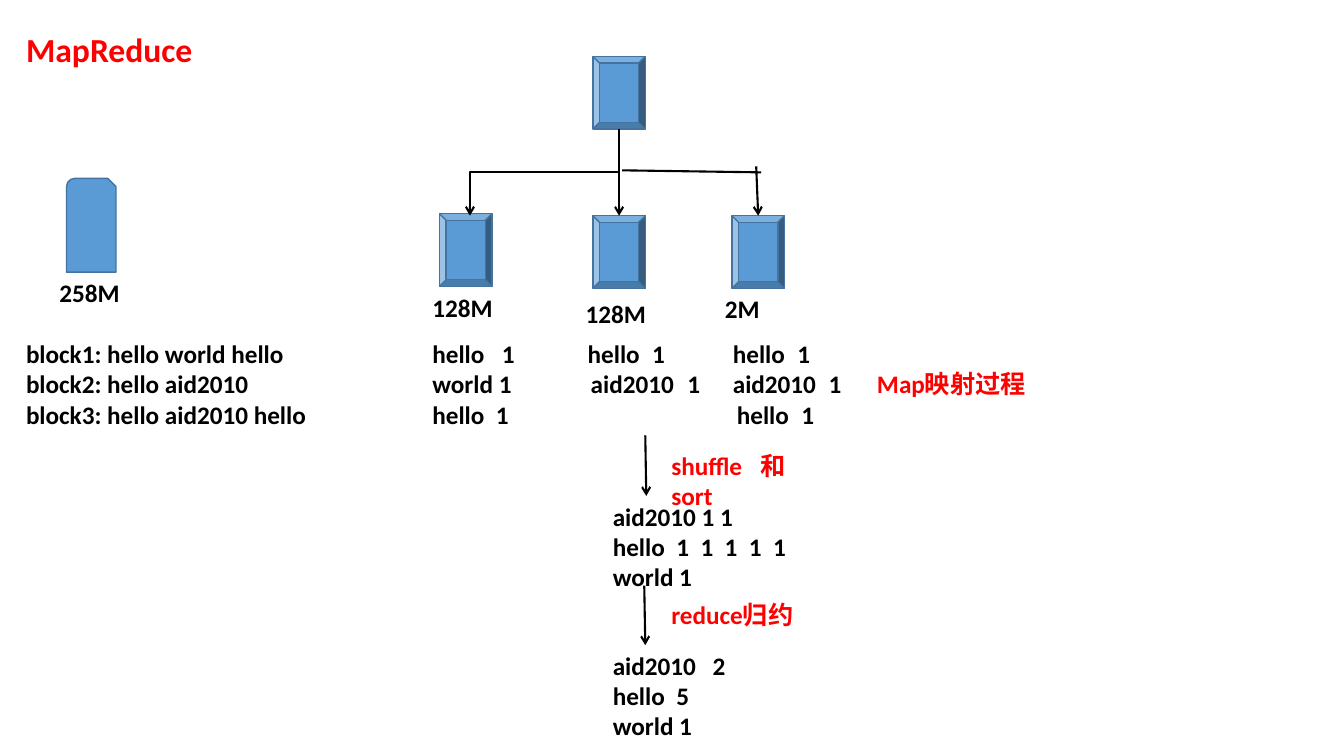
"""Build the MapReduce word count slide."""
from lxml.etree import SubElement
from pptx import Presentation
from pptx.dml.color import RGBColor
from pptx.enum.shapes import MSO_CONNECTOR, MSO_SHAPE
from pptx.enum.text import MSO_AUTO_SIZE
from pptx.oxml.ns import qn
from pptx.util import Inches, Pt

COLORS = {"red": "FF0000", "black": "000000", "blue": "5B9BD5", "edge": "43739E"}
FONT = {"name": "Calibri", "bold": True}

TEXTS = [
    (0.16, 0.24, 1.95, 24, "red", [("MapReduce", [])]),
    (0.49, 2.7, 0.85, 18, "black", [("258M", [])]),
    (0.16, 3.31, 3, 18, "black", [
        ("block1: hello world hello", []),
        ("block2: hello aid2010", []),
        ("block3: hello aid2010 hello", [])]),
    (4.19, 2.85, 0.85, 18, "black", [("128M", [])]),
    (5.71, 2.91, 0.85, 18, "black", [("128M", [])]),
    (7.09, 2.86, 0.85, 18, "black", [("2M", [])]),
    (4.19, 3.31, 4.41, 18, "black", [
        ("hello\t1\thello\t1\thello\t1", [0.69, 1.54, 2.18, 2.98, 3.62]),
        ("world 1\taid2010\t1\taid2010\t1", [1.57, 2.53, 2.98, 3.93]),
        ("hello\t1\thello\t1", [0.63, 3.02, 3.66])]),
    (8.6, 3.61, 1.9, 18, "red", [("Map映射过程", [])]),
    (5.98, 4.92, 2.07, 18, "black", [
        ("aid2010 1 1", []),
        ("hello\t1\t1\t1\t1\t1", [0.63, 0.87, 1.11, 1.35, 1.59]),
        ("world 1", [])]),
    (6.56, 4.42, 1.9, 18, "red", [("shuffle\t和\vsort", [0.88])]),
    (6.56, 5.9, 1.9, 18, "red", [("reduce归约", [])]),
    (5.98, 6.4, 1.66, 18, "black", [
        ("aid2010\t2", [0.99]), ("hello\t5", [0.63]), ("world 1", [])]),
]
FILE = (0.66, 1.77, 0.49, 0.93)
NODES = [(4.36, 2.12), (5.88, 2.14), (7.26, 2.14), (5.88, 0.56)]
NODE = (0.52, 0.72)
BENDS = [(6.14, 1.28, 4.66, 2.14), (6.14, 1.32, 6.14, 2.14)]
LINES = [
    (6.17, 1.69, 7.55, 1.71, False),
    (7.5, 1.65, 7.52, 2.14, True),
    (6.4, 4.32, 6.41, 4.92, True),
    (6.39, 5.81, 6.4, 6.4, True),
]


def color(name):
    return RGBColor.from_string(COLORS[name])


def add_block(kind, *box):
    block = slide.shapes.add_shape(kind, *map(Inches, box))
    block.shadow.inherit = False
    block.fill.solid()
    block.fill.fore_color.rgb = color("blue")
    block.line.color.rgb = color("edge")
    block.line.width = Pt(1)


def add_line(kind, ends, arrow):
    line = slide.shapes.add_connector(kind, *map(Inches, ends))
    line.line.color.rgb = color("black")
    line.line.width = Pt(1.5)
    props = line._element.spPr
    if arrow:
        SubElement(props.find(qn("a:ln")), qn("a:tailEnd"), type="arrow")
    SubElement(props, qn("a:effectLst"))
    return line


def add_bend(x1, y1, x2, y2):
    mid_x, mid_y = (x1 + x2) / 2, (y1 + y2) / 2
    dx, dy = (y2 - y1) / 2, (x1 - x2) / 2
    ends = (mid_x - dx, mid_y - dy, mid_x + dx, mid_y + dy)
    bend = add_line(MSO_CONNECTOR.ELBOW, ends, True)
    bend._element.spPr.find(qn("a:xfrm")).set("rot", str(90 * 60000))


def add_text(left, top, width, size, tint, rows):
    height = 0.1 + len(rows) * size / 60
    box = slide.shapes.add_textbox(*map(Inches, (left, top, width, height)))
    frame = box.text_frame
    frame.word_wrap = True
    frame.auto_size = MSO_AUTO_SIZE.SHAPE_TO_FIT_TEXT
    for i, (words, stops) in enumerate(rows):
        para = frame.add_paragraph() if i else frame.paragraphs[0]
        para.text = words
        if stops:
            tabs = SubElement(para._p.get_or_add_pPr(), qn("a:tabLst"))
            for stop in stops:
                SubElement(tabs, qn("a:tab"), pos=str(Inches(stop)), algn="l")
        for run in para.runs:
            for key, value in {**FONT, "size": Pt(size)}.items():
                setattr(run.font, key, value)
            run.font.color.rgb = color(tint)


deck = Presentation()
deck.slide_width, deck.slide_height = Inches(13.33), Inches(7.5)
slide = deck.slides.add_slide(deck.slide_layouts[6])

add_block(MSO_SHAPE.SNIP_ROUND_RECTANGLE, *FILE)
for spot in NODES:
    add_block(MSO_SHAPE.BEVEL, *spot, *NODE)
for ends in BENDS:
    add_bend(*ends)
for *ends, arrow in LINES:
    add_line(MSO_CONNECTOR.STRAIGHT, ends, arrow)
for item in TEXTS:
    add_text(*item)

deck.save("out.pptx")
